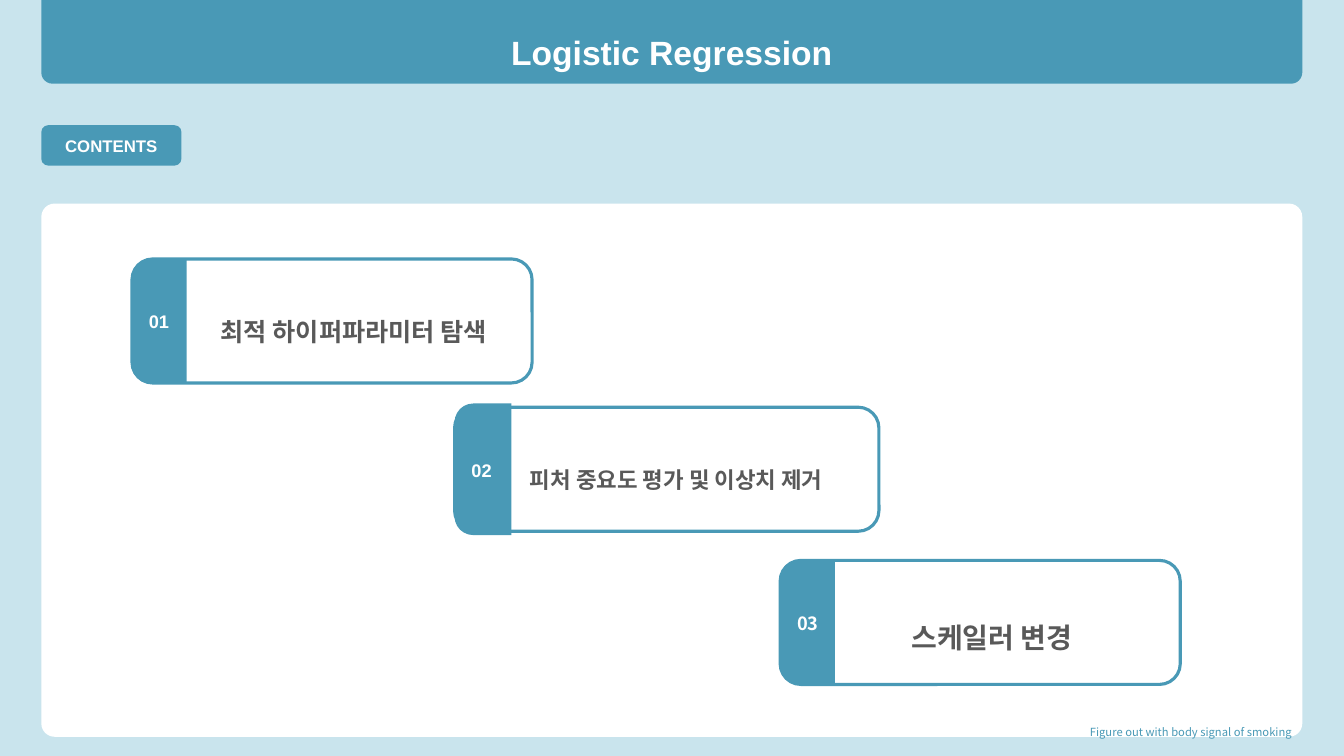
from dataclasses import dataclass

from pptx import Presentation
from pptx.dml.color import RGBColor
from pptx.enum.shapes import MSO_SHAPE as Preset
from pptx.enum.text import MSO_ANCHOR as Anchor, MSO_AUTO_SIZE as AutoSize, PP_ALIGN as Align
from pptx.util import Pt

TEAL = RGBColor(0x49, 0x99, 0xB6)
PALE_BLUE = RGBColor(0xC9, 0xE4, 0xED)
WHITE = RGBColor(0xFF, 0xFF, 0xFF)
GREY = RGBColor(0x59, 0x59, 0x59)
LATIN = "Arial"
KOREAN = "Noto Sans CJK KR"
MARGIN = 29.5
CONTENT_WIDTH = 900.7
BANNER_HEIGHT = 59.8
CARD_HEIGHT = 88.6


@dataclass
class Card:
    """One numbered entry of the contents, with lengths in points."""

    number: str
    label: str
    left: float
    top: float
    width: float
    tab_width: float
    tab_height: float
    label_box: tuple
    label_size: int
    label_align: Align = Align.CENTER
    number_font: str = LATIN


CARDS = (
    Card("01", "최적 하이퍼파라미터 탐색", 94.3, 185, 285.8, 39, CARD_HEIGHT,
         (135.4, 211.7, 234.7, 35.3), 18),
    Card("02", "피처 중요도 평가 및 이상치 제거", 324.7, 290.9, 303.1, 40.5, 94,
         (371.5, 319.7, 290.9, 35.3), 16, Align.LEFT),
    Card("03", "스케일러 변경", 557.3, 400.3, 285.8, 39, CARD_HEIGHT,
         (601.2, 427.7, 214.6, 35.3), 20, number_font=KOREAN),
)


def add_block(shapes, preset, box, adjustments, fill, line=None):
    """Add a filled preset shape with an optional outline."""
    shape = shapes.add_shape(preset, *map(Pt, box))
    shape.shadow.inherit = False
    for index, value in enumerate(adjustments):
        shape.adjustments[index] = value
    shape.fill.solid()
    shape.fill.fore_color.rgb = fill
    if line is None:
        shape.line.fill.background()
    else:
        shape.line.color.rgb = line
        shape.line.width = Pt(2.25)
    return shape


def write(shape, text, size, color, align=Align.LEFT, font=LATIN, bold=True,
          spacing=None, anchor=Anchor.TOP, inset=3.6):
    """Write one formatted paragraph into a shape."""
    frame = shape.text_frame
    frame.word_wrap = True
    frame.auto_size = AutoSize.NONE
    frame.vertical_anchor = anchor
    frame.margin_left = frame.margin_right = Pt(7.2)
    frame.margin_top = frame.margin_bottom = Pt(inset)
    paragraph = frame.paragraphs[0]
    paragraph.alignment = align
    if spacing:
        paragraph.line_spacing = spacing
    run = paragraph.add_run()
    run.text = text
    run.font.name = font
    run.font.size = Pt(size)
    run.font.bold = bold
    run.font.color.rgb = color


def add_text(shapes, box, text, size, color, **options):
    """Add a text box holding one paragraph."""
    write(shapes.add_textbox(*map(Pt, box)), text, size, color, **options)


def add_banner(slide, text):
    """Draw the banner and lay the slide title over it."""
    box = (MARGIN, 0, CONTENT_WIDTH, BANNER_HEIGHT)
    banner = add_block(slide.shapes, Preset.ROUND_2_SAME_RECTANGLE, box, (0, 0.134), TEAL)
    title = slide.shapes.title
    title.left, title.top, title.width, title.height = map(Pt, box)
    write(title, text, 24, WHITE, align=Align.CENTER, spacing=1.5, anchor=Anchor.MIDDLE)
    banner.element.addnext(title.element)


def add_card(slide, card):
    """Draw a grouped card with its number tab and label."""
    shapes = slide.shapes.add_group_shape().shapes
    add_block(shapes, Preset.ROUNDED_RECTANGLE,
              (card.left, card.top, card.width, CARD_HEIGHT), (0.167,), WHITE, TEAL)
    tab_left = card.left + (card.tab_width - card.tab_height) / 2
    tab_top = card.top + (CARD_HEIGHT - card.tab_width) / 2
    tab = add_block(shapes, Preset.ROUND_2_SAME_RECTANGLE,
                    (tab_left, tab_top, card.tab_height, card.tab_width), (0.328, 0), TEAL)
    tab.rotation = 270
    add_text(shapes, card.label_box, card.label, card.label_size, GREY,
             align=card.label_align, spacing=1.5)
    add_text(shapes, (card.left + 5, card.top + 33.4, card.tab_width, 22.3),
             card.number, 13, WHITE, font=card.number_font)


def main():
    """Build the contents slide and save it."""
    presentation = Presentation()
    presentation.slide_width, presentation.slide_height = Pt(960), Pt(540)
    slide = presentation.slides.add_slide(presentation.slide_layouts[5])
    slide.background.fill.solid()
    slide.background.fill.fore_color.rgb = PALE_BLUE

    add_block(slide.shapes, Preset.ROUNDED_RECTANGLE,
              (MARGIN, 145.4, CONTENT_WIDTH, 380.9), (0.025,), WHITE)
    contents = add_block(slide.shapes, Preset.ROUNDED_RECTANGLE,
                         (MARGIN, 89.5, 100.1, 28.8), (0.168,), TEAL)
    write(contents, "CONTENTS", 12, WHITE, align=Align.CENTER, anchor=Anchor.MIDDLE)
    add_banner(slide, "Logistic Regression")
    add_text(slide.shapes, (770.4, 509.8, 159.8, 24.5),
             "Figure out with body signal of smoking", 8, TEAL,
             align=Align.RIGHT, font=KOREAN, bold=False, spacing=1.15, inset=7.2)
    for card in CARDS:
        add_card(slide, card)
    presentation.save("out.pptx")


if __name__ == "__main__":
    main()
